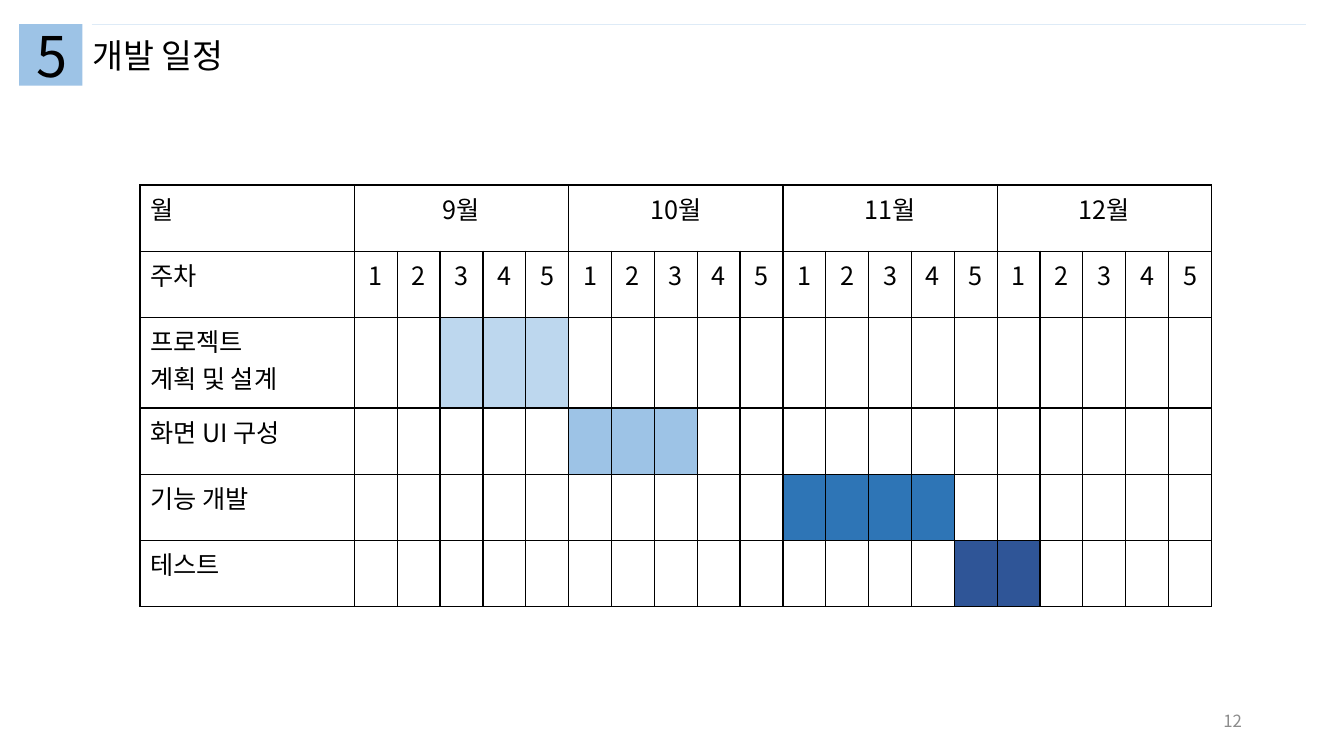
import pptx
import pptx.dml.color
import pptx.enum.shapes
import pptx.enum.text
import pptx.oxml.ns
import pptx.util
from lxml import etree

Cm = pptx.util.Cm
Pt = pptx.util.Pt
RGBColor = pptx.dml.color.RGBColor
qn = pptx.oxml.ns.qn
PP_ALIGN = pptx.enum.text.PP_ALIGN
ANCHOR = pptx.enum.text.MSO_ANCHOR

BLACK = RGBColor(0x00, 0x00, 0x00)
GRAY = RGBColor(0x8C, 0x8C, 0x8C)
PALE_BLUE = RGBColor(0xDE, 0xEB, 0xF7)
LIGHT_BLUE = RGBColor(0xBD, 0xD7, 0xEE)
SKY_BLUE = RGBColor(0x9D, 0xC3, 0xE6)
BLUE = RGBColor(0x2E, 0x75, 0xB6)
NAVY = RGBColor(0x2F, 0x55, 0x97)

MONTHS = ["9월", "10월", "11월", "12월"]
WEEKS_PER_MONTH = 5
WEEK_COUNT = len(MONTHS) * WEEKS_PER_MONTH
# Label lines, first week column, last week column, bar colour
TASKS = [
    (["프로젝트", "계획 및 설계"], 3, 5, LIGHT_BLUE),
    (["화면 UI 구성"], 6, 8, SKY_BLUE),
    (["기능 개발"], 11, 14, BLUE),
    (["테스트"], 15, 16, NAVY),
]
LABEL_WIDTH, WEEK_WIDTH = 5.4, 1.08
ROW_HEIGHT, TALL_ROW_HEIGHT = 1.67, 2.28


class SlideBuilder:
    font_name = "Noto Sans CJK KR"

    def __init__(self, deck):
        self.slide = deck.slides.add_slide(deck.slide_layouts[5])

    def add_lines(self, frame, lines, size, color=BLACK, align=PP_ALIGN.LEFT):
        """Fill a text frame with one paragraph per line."""
        for index, line in enumerate(lines):
            paragraph = frame.add_paragraph() if index else frame.paragraphs[0]
            paragraph.alignment = align
            run = paragraph.add_run()
            run.text = line
            run.font.size = Pt(size)
            run.font.name = self.font_name
            run.font.color.rgb = color
            east_asian = etree.SubElement(run.font._element, qn("a:ea"))
            east_asian.set("typeface", self.font_name)

    def title(self, text, left, top, width, height, size):
        heading = self.slide.shapes.title
        heading.left, heading.top = Cm(left), Cm(top)
        heading.width, heading.height = Cm(width), Cm(height)
        frame = heading.text_frame
        frame.vertical_anchor = ANCHOR.TOP
        frame.auto_size = pptx.enum.text.MSO_AUTO_SIZE.NONE
        self.add_lines(frame, [text], size)

    def text(self, text, left, top, width, height, size, color=BLACK,
             align=PP_ALIGN.LEFT, anchor=ANCHOR.TOP, wrap=True):
        box = self.slide.shapes.add_textbox(Cm(left), Cm(top), Cm(width), Cm(height))
        box.text_frame.word_wrap = wrap
        box.text_frame.vertical_anchor = anchor
        self.add_lines(box.text_frame, [text], size, color, align)

    def rectangle(self, left, top, width, height, fill):
        block = self.slide.shapes.add_shape(
            pptx.enum.shapes.MSO_SHAPE.RECTANGLE,
            Cm(left), Cm(top), Cm(width), Cm(height))
        block.shadow.inherit = False
        block.fill.solid()
        block.fill.fore_color.rgb = fill
        block.line.fill.background()

    def line(self, x1, y1, x2, y2, color, width):
        rule = self.slide.shapes.add_connector(
            pptx.enum.shapes.MSO_CONNECTOR.STRAIGHT, Cm(x1), Cm(y1), Cm(x2), Cm(y2))
        rule.line.color.rgb = color
        rule.line.width = Pt(width)
        etree.SubElement(rule._element.spPr, qn("a:effectLst"))

    def table(self, left, top, widths, heights):
        """Add an empty table with black borders and no fill."""
        grid = self.slide.shapes.add_table(
            len(heights), len(widths), Cm(left), Cm(top),
            Cm(sum(widths)), Cm(sum(heights))).table
        grid.first_row = grid.horz_banding = False
        for column, width in zip(grid.columns, widths):
            column.width = Cm(width)
        for row, height in zip(grid.rows, heights):
            row.height = Cm(height)
        for cell in grid.iter_cells():
            self.border(cell)
            cell.fill.background()
        return grid

    def border(self, cell):
        properties = cell._tc.get_or_add_tcPr()
        for side in ("a:lnL", "a:lnR", "a:lnT", "a:lnB"):
            edge = etree.SubElement(properties, qn(side), w=str(int(Pt(1))))
            fill = etree.SubElement(edge, qn("a:solidFill"))
            etree.SubElement(fill, qn("a:srgbClr"), val=str(BLACK))

    def cell(self, cell, lines, align=PP_ALIGN.LEFT):
        self.add_lines(cell.text_frame, lines, 18, align=align)


def add_schedule(builder):
    widths = [LABEL_WIDTH] + [WEEK_WIDTH] * WEEK_COUNT
    heights = [ROW_HEIGHT] * 2 + [
        TALL_ROW_HEIGHT if len(task[0]) > 1 else ROW_HEIGHT for task in TASKS]
    schedule = builder.table(3.53, 4.66, widths, heights)

    builder.cell(schedule.cell(0, 0), ["월"])
    builder.cell(schedule.cell(1, 0), ["주차"])
    for index, month in enumerate(MONTHS):
        first = 1 + index * WEEKS_PER_MONTH
        month_cell = schedule.cell(0, first)
        month_cell.merge(schedule.cell(0, first + WEEKS_PER_MONTH - 1))
        builder.cell(month_cell, [month], PP_ALIGN.CENTER)
        for week in range(WEEKS_PER_MONTH):
            builder.cell(schedule.cell(1, first + week), [str(week + 1)], PP_ALIGN.CENTER)

    for row, (label, start, end, color) in enumerate(TASKS, start=2):
        builder.cell(schedule.cell(row, 0), label)
        for week in range(start, end + 1):
            bar = schedule.cell(row, week)
            bar.fill.solid()
            bar.fill.fore_color.rgb = color


def main():
    deck = pptx.Presentation()
    deck.slide_width, deck.slide_height = Cm(33.87), Cm(19.05)
    builder = SlideBuilder(deck)
    builder.title("개발 일정", 2.08, 0.74, 10.77, 1.27, 24)
    builder.text("12", 23.93, 17.65, 7.62, 1.02, 12, GRAY, PP_ALIGN.RIGHT, ANCHOR.MIDDLE)
    builder.rectangle(0.48, 0.61, 1.6, 1.55, SKY_BLUE)
    builder.text("5", 0.66, 0.41, 1.27, 1.96, 40, wrap=False)
    builder.line(2.31, 0.61, 32.92, 0.61, PALE_BLUE, 0.5)
    add_schedule(builder)
    deck.save("out.pptx")


if __name__ == "__main__":
    main()
